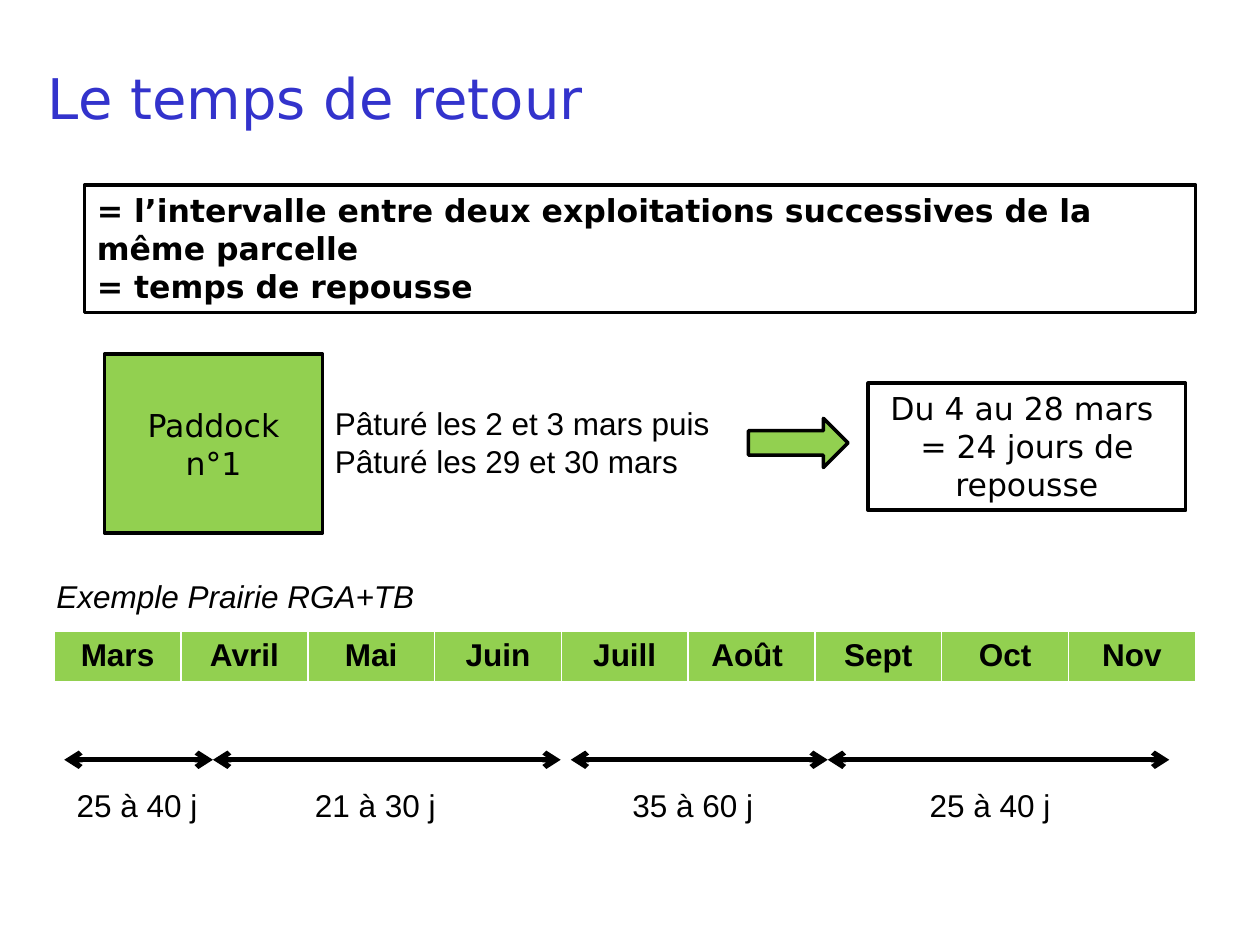
from lxml import etree
from pptx import Presentation
from pptx.dml.color import RGBColor
from pptx.enum import shapes, text
from pptx.oxml.ns import qn
from pptx.util import Inches, Pt

COLORS = {"ink": "000000", "title": "3333CC", "grass": "92D050", "white": "FFFFFF"}
SANS, ARIAL = "DejaVu Sans", "Arial"
LEFT, MID = text.PP_ALIGN.LEFT, text.PP_ALIGN.CENTER
TOP, CENTER = text.MSO_ANCHOR.TOP, text.MSO_ANCHOR.MIDDLE
RECT, ARROW = shapes.MSO_SHAPE.RECTANGLE, shapes.MSO_SHAPE.RIGHT_ARROW

TITLE = "Le temps de retour"
# kind, place, fill, lines, alignment, anchor, bold
BOXES = [
    (RECT, (0.67, 1.47, 8.82, 1.01), "white",
     ["= l’intervalle entre deux exploitations successives de la même parcelle",
      "= temps de repousse"], LEFT, TOP, True),
    (RECT, (0.83, 2.81, 1.73, 1.42), "grass", ["Paddock n°1"], MID, CENTER, False),
    (ARROW, (5.94, 3.32, 0.79, 0.39), "grass", [], MID, CENTER, False),
    (RECT, (6.89, 3.04, 2.52, 1.01), "white",
     ["Du 4 au 28 mars ", "= 24 jours de repousse"], MID, TOP, False),
]
# place, lines, italic
NOTES = [
    ((2.56, 3.16, 4.02, 0.71),
     ["Pâturé les 2 et 3 mars puis", "Pâturé les 29 et 30 mars"], False),
    ((0.35, 4.53, 3.94, 0.4), ["Exemple Prairie RGA+TB"], True),
]
MONTHS = ["Mars", "Avril", "Mai", "Juin", "Juill", "Août ", "Sept", "Oct", "Nov"]
GRID = (0.43, 5.01, 9.06, 0.41)
# start, end, label left, label
SPANS = [
    (0.51, 1.69, 0.51, "25 à 40 j"),
    (1.69, 4.45, 2.4, "21 à 30 j"),
    (4.53, 6.57, 4.92, "35 à 60 j"),
    (6.57, 9.28, 7.28, "25 à 40 j"),
]
SPAN_Y, LABEL_Y = 6.03, 6.19


def rgb(name):
    return RGBColor.from_string(COLORS[name])


def inches(place):
    return [Inches(v) for v in place]


def write(frame, lines, font=ARIAL, size=18, color="ink", align=LEFT,
          anchor=TOP, bold=False, italic=False):
    frame.word_wrap = True
    frame.auto_size = text.MSO_AUTO_SIZE.NONE
    frame.vertical_anchor = anchor
    frame.text = "\n".join(lines)
    for para in frame.paragraphs:
        para.alignment = align
        for run in para.runs:
            run.font.name, run.font.size = font, Pt(size)
            run.font.bold, run.font.italic = bold, italic
            run.font.color.rgb = rgb(color)


def add_box(slide, kind, place, fill, lines, align, anchor, bold):
    box = slide.shapes.add_shape(kind, *inches(place))
    box.shadow.inherit = False
    box.fill.solid()
    box.fill.fore_color.rgb = rgb(fill)
    box.line.color.rgb = rgb("ink")
    box.line.width = Pt(2)
    if lines:
        write(box.text_frame, lines, SANS, align=align, anchor=anchor, bold=bold)


def add_note(slide, place, lines, italic=False):
    note = slide.shapes.add_textbox(*inches(place))
    write(note.text_frame, lines, italic=italic)


def add_border(cell):
    """Put white edges on a cell, thicker at the bottom."""
    props = cell._tc.get_or_add_tcPr()
    for spot, (side, width) in enumerate([("L", 1), ("R", 1), ("T", 1), ("B", 3)]):
        edge = etree.Element(qn("a:ln" + side), w=str(Pt(width)))
        fill = etree.SubElement(edge, qn("a:solidFill"))
        etree.SubElement(fill, qn("a:srgbClr"), val=COLORS["white"])
        props.insert(spot, edge)


def add_months(slide):
    table = slide.shapes.add_table(1, len(MONTHS), *inches(GRID)).table
    for col, month in enumerate(MONTHS):
        table.columns[col].width = Inches(GRID[2] / len(MONTHS))
        cell = table.cell(0, col)
        cell.fill.solid()
        cell.fill.fore_color.rgb = rgb("grass")
        add_border(cell)
        cell.text = month
        para = cell.text_frame.paragraphs[0]
        para.alignment = MID
        font = para.runs[0].font
        font.name, font.size, font.bold = ARIAL, Pt(18), True
        font.color.rgb = rgb("ink")


def add_span(slide, start, end):
    """Draw a level arrow with a head at both ends."""
    span = slide.shapes.add_connector(
        shapes.MSO_CONNECTOR.STRAIGHT, *inches((start, SPAN_Y, end, SPAN_Y)))
    span.line.color.rgb = rgb("ink")
    span.line.width = Pt(3)
    line = span.line._get_or_add_ln()
    for tip in ("a:headEnd", "a:tailEnd"):
        etree.SubElement(line, qn(tip), type="arrow")
    etree.SubElement(span._element.spPr, qn("a:effectLst"))


def main():
    deck = Presentation()
    deck.slide_width, deck.slide_height = Inches(10), Inches(7.5)
    slide = deck.slides.add_slide(deck.slide_layouts[5])
    title = slide.shapes.title
    title.left, title.top, title.width, title.height = inches((0.28, 0.45, 9, 1.25))
    write(title.text_frame, [TITLE], SANS, 32, "title")
    for box in BOXES:
        add_box(slide, *box)
    for note in NOTES:
        add_note(slide, *note)
    add_months(slide)
    for start, end, left, label in SPANS:
        add_span(slide, start, end)
        add_note(slide, (left, LABEL_Y, 1.57, 0.4), [label])
    deck.save("out.pptx")


if __name__ == "__main__":
    main()
